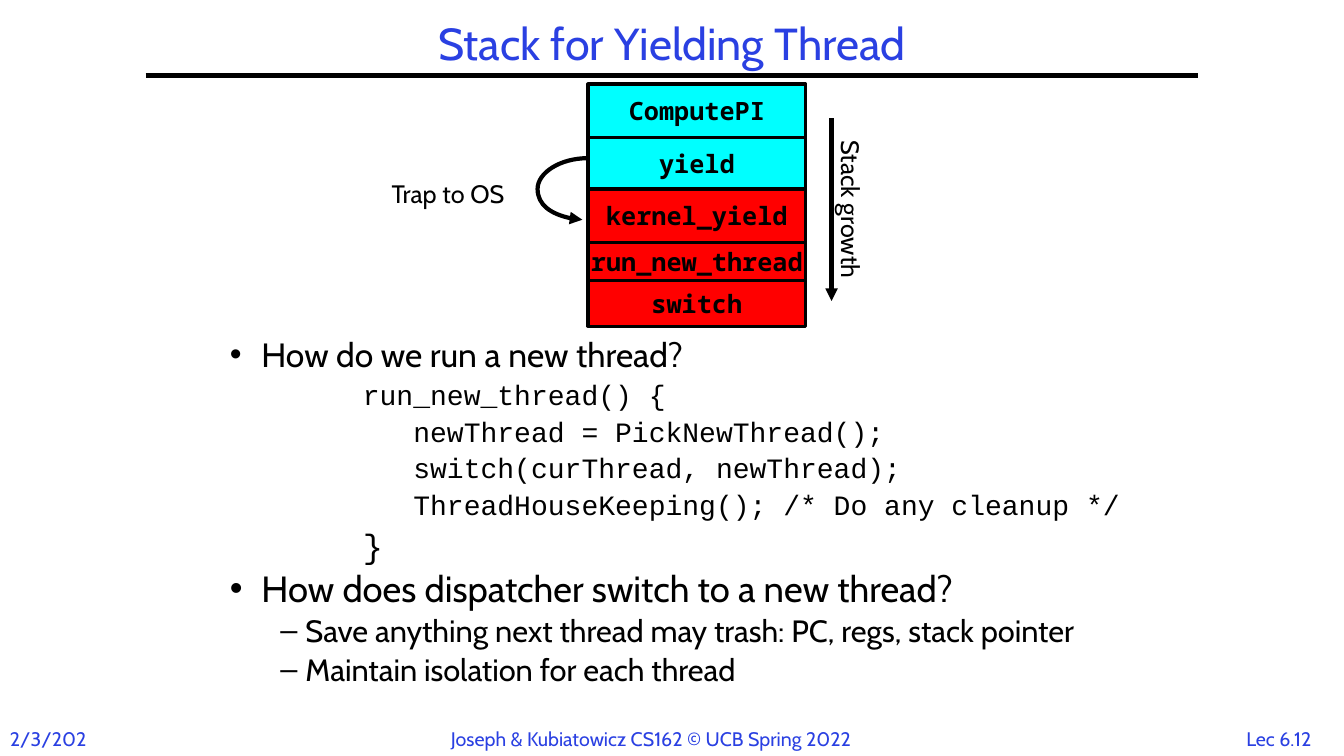
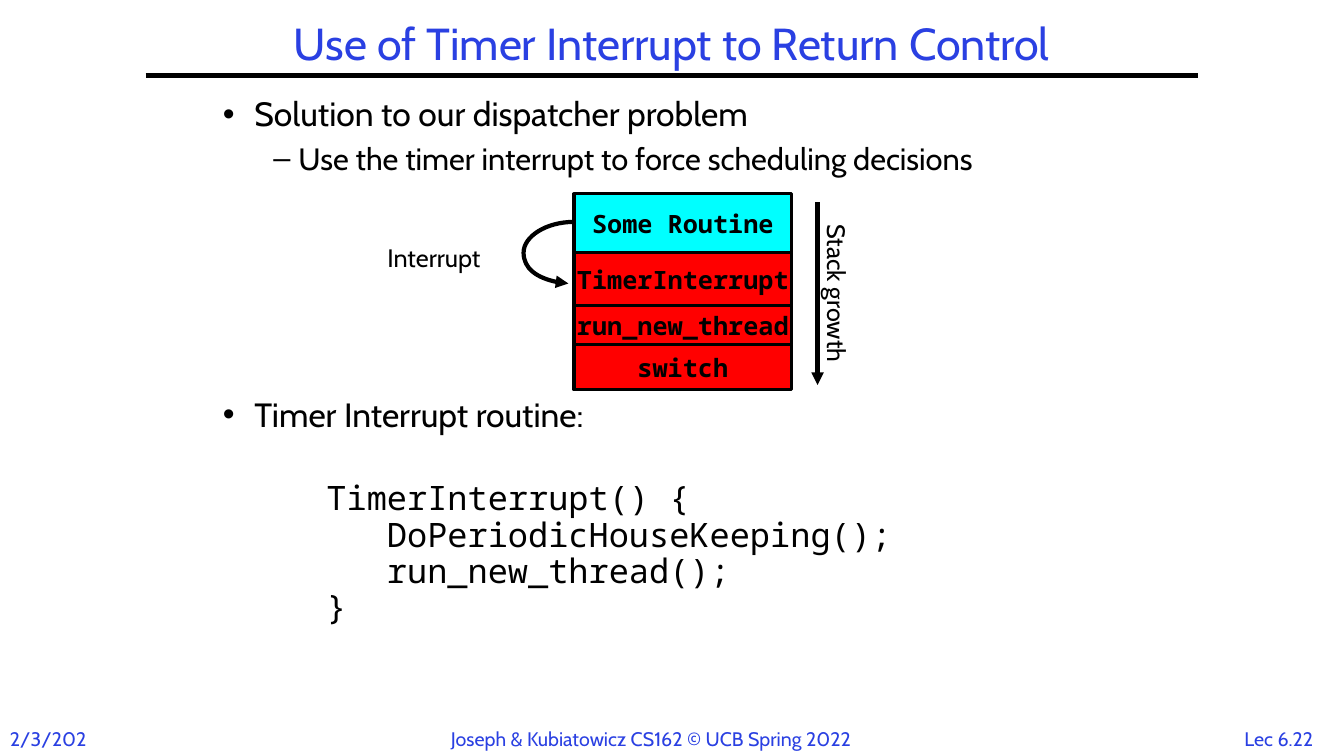
from lxml import etree
from pptx import Presentation
from pptx.dml.color import RGBColor
from pptx.enum.shapes import MSO_CONNECTOR as LINK, MSO_SHAPE as SHAPE
from pptx.enum.text import MSO_ANCHOR as ANCHOR, MSO_AUTO_SIZE as FIT, PP_ALIGN as ALIGN
from pptx.oxml.ns import qn
from pptx.util import Pt

BLUE, BLACK, CYAN, RED = "2A40E2", "000000", "00FFFF", "FF0000"
SANS, COURIER, MONO = "Cabin", "Courier New", "Noto Sans Mono"

STACK_WIDTH = 155.5
GROWTH_LENGTH = 130.5
# Trap arrow, relative to the stack's left edge and the user/kernel boundary
TRAP_START = (0, -22)
TRAP_CURVE = [(-20, -22), (-36, -11.5), (-36, 0), (-36, 11.5), (-22.5, 21), (-4, 22)]

# Body lines: text, kind, size, space before
# Stack frames: name, height, fill
SLIDES = [
    {
        "title": "Stack for Yielding Thread",
        "number": "Lec 6.12",
        "body": (157, 240.5, 683, 276),
        "line_spacing": 0.8,
        "code_font": COURIER,
        "code_indent": 95,
        "lines": [
            ("How do we run a new thread?", "point", 24, 0),
            ("run_new_thread() {", "code", 20, 7),
            ("   newThread = PickNewThread();", "code", 20, 7),
            ("   switch(curThread, newThread);", "code", 20, 7),
            ("   ThreadHouseKeeping(); /* Do any cleanup */", "code", 20, 7),
            ("}", "code", 24, 8.5),
            ("How does dispatcher switch to a new thread?", "point", 26, 7),
            ("Save anything next thread may trash: PC, regs, stack pointer", "sub", 22, 6.5),
            ("Maintain isolation for each thread", "sub", 22, 6.5),
        ],
        "stack": (420, 60),
        "frames": [
            ("ComputePI", 38, CYAN),
            ("yield", 37, CYAN),
            ("kernel_yield", 38, RED),
            ("run_new_thread", 27.5, RED),
            ("switch", 32.5, RED),
        ],
        "cause": "Trap to OS",
        "growth_top": 84.5,
    },
    {
        "title": "Use of Timer Interrupt to Return Control",
        "number": "Lec 6.22",
        "body": (152, 66, 648, 454),
        "line_spacing": 0.9,
        "code_font": MONO,
        "code_indent": 74,
        "lines": [
            ("Solution to our dispatcher problem", "point", 24, 0),
            ("Use the timer interrupt to force scheduling decisions", "sub", 22, 7),
            ("Timer Interrupt routine:", "point", 24, 158),
            ("TimerInterrupt() {", "code", 24, 34),
            ("   DoPeriodicHouseKeeping();", "code", 24, 0),
            ("   run_new_thread();", "code", 24, 0),
            ("}", "code", 24, 0),
        ],
        "stack": (410, 138.5),
        "frames": [
            ("Some Routine", 42, CYAN),
            ("TimerInterrupt", 38, RED),
            ("run_new_thread", 27.5, RED),
            ("switch", 32.5, RED),
        ],
        "cause": "Interrupt",
        "growth_top": 144.5,
    },
]


def paint(color_format, value):
    color_format.rgb = RGBColor.from_string(value)


def write(para, text, size, color=BLACK, face=SANS, bold=False, **formats):
    """Add one run; formats are attributes of the paragraph."""
    for name, value in formats.items():
        setattr(para, name, value)
    span = para.add_run()
    span.text = text
    for name, value in {"size": Pt(size), "name": face, "bold": bold}.items():
        setattr(span.font, name, value)
    paint(span.font.color, color)


deck = Presentation()
deck.slide_width, deck.slide_height = Pt(960), Pt(540)

for content in SLIDES:
    page = deck.slides.add_slide(deck.slide_layouts[1])
    title, body = page.placeholders
    for box, area in ((title, (104, 12, 752, 42)), (body, content["body"])):
        box.left, box.top, box.width, box.height = map(Pt, area)
        box.text_frame.auto_size = FIT.NONE
    title.text_frame.vertical_anchor = ANCHOR.MIDDLE
    write(title.text_frame.paragraphs[0], content["title"], 32, BLUE,
          alignment=ALIGN.CENTER, line_spacing=0.9)

    indents = {"point": (22.5, -22.5), "sub": (54, -18), "code": (content["code_indent"], 0)}
    for index, (text, kind, size, before) in enumerate(content["lines"]):
        frame = body.text_frame
        para = frame.add_paragraph() if index else frame.paragraphs[0]
        props = para._p.get_or_add_pPr()
        margin, indent = indents[kind]
        props.set("marL", str(Pt(margin)))
        props.set("indent", str(Pt(indent)))
        if kind == "code":
            etree.SubElement(props, qn("a:buNone"))
        write(para, text, size, face=content["code_font"] if kind == "code" else SANS,
              level=int(kind == "sub"), line_spacing=content["line_spacing"],
              space_before=Pt(before))

    stack_left, frame_top = content["stack"]
    for name, height, fill in content["frames"]:
        if fill == RED and previous_fill == CYAN:
            boundary = frame_top
        previous_fill = fill
        box = page.shapes.add_shape(SHAPE.RECTANGLE, Pt(stack_left), Pt(frame_top),
                                    Pt(STACK_WIDTH), Pt(height))
        box.shadow.inherit = False
        box.fill.solid()
        paint(box.fill.fore_color, fill)
        paint(box.line.color, BLACK)
        box.line.width = Pt(2.25)
        box.text_frame.word_wrap = False
        box.text_frame.vertical_anchor = ANCHOR.MIDDLE
        write(box.text_frame.paragraphs[0], name, 18, face=MONO, bold=True,
              alignment=ALIGN.CENTER)
        frame_top += height

    # Outline through the control points, then each three points become one curve
    start, *controls = [(Pt(stack_left + x), Pt(boundary + y))
                        for x, y in [TRAP_START] + TRAP_CURVE]
    builder = page.shapes.build_freeform(*start)
    builder.add_line_segments(controls, close=False)
    trap = builder.convert_to_shape()
    trap.shadow.inherit = False
    trap.fill.background()
    outline = next(trap._element.iter(qn("a:path")))
    segments = outline.findall(qn("a:lnTo"))
    for first in range(0, len(segments), 3):
        curve = etree.SubElement(outline, qn("a:cubicBezTo"))
        for segment in segments[first:first + 3]:
            curve.append(segment[0])
            outline.remove(segment)

    growth_x, growth_top = stack_left + 174, content["growth_top"]
    rule, growth = [
        page.shapes.add_connector(LINK.STRAIGHT, *map(Pt, ends))
        for ends in ((104, 54, 856, 54),
                     (growth_x, growth_top, growth_x, growth_top + GROWTH_LENGTH))
    ]
    for stroke in (rule, growth, trap):
        paint(stroke.line.color, BLACK)
        stroke.line.width = Pt(3)
        if stroke is not trap:
            etree.SubElement(stroke._element.spPr, qn("a:effectLst"))
        if stroke is not rule:
            etree.SubElement(stroke.line._get_or_add_ln(), qn("a:tailEnd"), type="triangle")

    # Labels: text, centre x, centre y, width, size, colour, alignment, rotation
    labels = [
        (content["cause"], stack_left - 100, boundary + 3.5, 102, 18, BLACK, ALIGN.CENTER, 0),
        ("Stack growth", growth_x + 14, growth_top + 65, 120, 18, BLACK, ALIGN.CENTER, 90),
        ("2/3/2022", 34.5, 528, 69, 14, BLUE, ALIGN.LEFT, 0),
        ("Joseph & Kubiatowicz CS162 © UCB Spring 2022", 479, 528, 328, 14, BLUE, ALIGN.LEFT, 0),
        (content["number"], 913.5, 528, 70, 14, BLUE, ALIGN.CENTER, 0),
    ]
    for text, x, y, width, size, color, alignment, rotation in labels:
        height = size * 1.2 + 7.2
        box = page.shapes.add_textbox(Pt(x - width / 2), Pt(y - height / 2), Pt(width), Pt(height))
        box.rotation = rotation
        box.text_frame.word_wrap = False
        write(box.text_frame.paragraphs[0], text, size, color, alignment=alignment)

deck.save("out.pptx")
